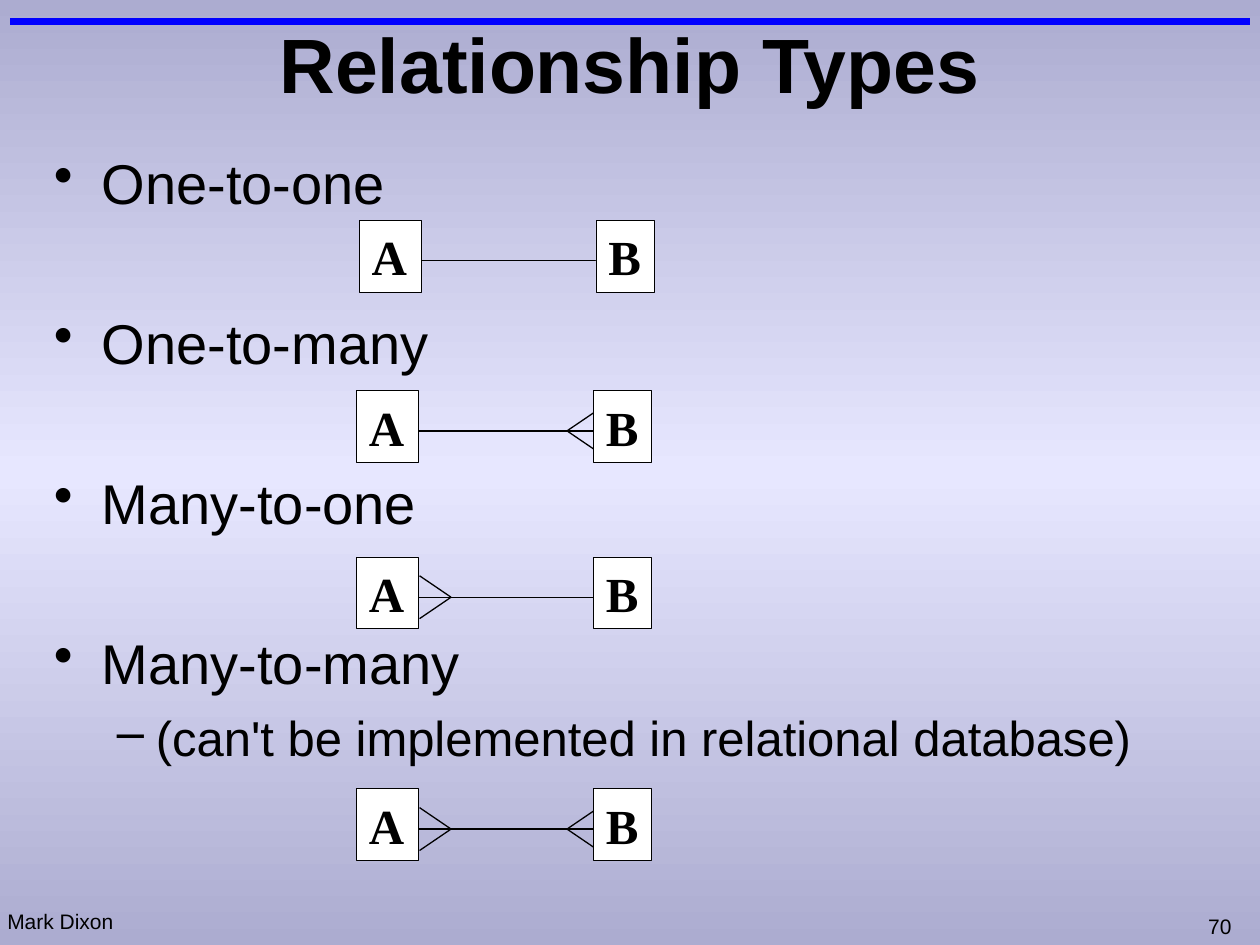
"""Build the slide on relationship types between two entities."""
from copy import deepcopy
from dataclasses import dataclass

from lxml import etree
from pptx import Presentation
from pptx.dml.color import RGBColor
from pptx.enum.shapes import MSO_CONNECTOR, MSO_SHAPE
from pptx.enum.text import MSO_ANCHOR, PP_ALIGN
from pptx.oxml.ns import qn
from pptx.util import Inches, Pt

STRAIGHT = MSO_CONNECTOR.STRAIGHT
RECTANGLE = MSO_SHAPE.RECTANGLE
LEFT, CENTER = PP_ALIGN.LEFT, PP_ALIGN.CENTER
TOP, MIDDLE = MSO_ANCHOR.TOP, MSO_ANCHOR.MIDDLE


@dataclass(frozen=True)
class Theme:
    """Colours, fonts and type sizes of the slide."""
    ink: RGBColor = RGBColor(0, 0, 0)
    paper: RGBColor = RGBColor(255, 255, 255)
    rule: RGBColor = RGBColor(0, 0, 255)
    edge: RGBColor = RGBColor(0xAC, 0xAC, 0xD0)
    glow: RGBColor = RGBColor(0xE7, 0xE7, 0xFF)
    sans: str = "Arial"
    serif: str = "Times New Roman"
    title: int = 44
    body: int = 32
    detail: int = 28
    entity: int = 28
    footer: int = 12


THEME = Theme()
BULLETS = [
    ("One-to-one", 0, 0),
    ("One-to-many", 0, 53),
    ("Many-to-one", 0, 53),
    ("Many-to-many", 0, 53),
    ("(can't be implemented in relational database)", 1, 7),
]
LEVELS = [("•", 0.38, 0.38, THEME.body), ("–", 0.81, 0.31, THEME.detail)]
DIAGRAMS = [
    (2.85, 1.75, False, False),
    (2.83, 3.1, False, True),
    (2.83, 4.42, True, False),
    (2.83, 6.26, True, True),
]


def paint_background(page):
    """Fill the page with a vertical gradient that is lightest in the middle."""
    fill = page.background.fill
    fill.gradient()
    fill.gradient_angle = 90
    stops = page.element.find(".//" + qn("a:gsLst"))
    stops.append(deepcopy(stops[0]))
    colours = (THEME.edge, THEME.glow, THEME.edge)
    for stop, colour, position in zip(fill.gradient_stops, colours, (0, 0.5, 1)):
        stop.color.rgb = colour
        stop.position = position


def style_text(para, size, font=THEME.sans, bold=False):
    """Set the type of a whole paragraph."""
    para.font.name = font
    para.font.size = Pt(size)
    para.font.bold = bold
    para.font.color.rgb = THEME.ink


def add_label(page, text, area, size, bold=False, align=LEFT, anchor=TOP, wrap=False):
    """Add a one-paragraph text box."""
    frame = page.shapes.add_textbox(*map(Inches, area)).text_frame
    frame.word_wrap = wrap
    frame.vertical_anchor = anchor
    para = frame.paragraphs[0]
    para.text = text
    para.alignment = align
    style_text(para, size, bold=bold)


def add_line(page, start, end, colour=THEME.ink, width=0.75):
    """Add a straight line without a shadow."""
    line = page.shapes.add_connector(STRAIGHT, *map(Inches, (*start, *end)))
    line.line.color.rgb = colour
    line.line.width = Pt(width)
    etree.SubElement(line.element.spPr, qn("a:effectLst"))


def add_bullets(page):
    """Add the bulleted list of relationship types."""
    area = map(Inches, (0.33, 1.13, 9.33, 6.03))
    frame = page.shapes.add_textbox(*area).text_frame
    frame.word_wrap = True
    for index, (text, level, gap) in enumerate(BULLETS):
        para = frame.add_paragraph() if index else frame.paragraphs[0]
        mark, margin, hanging, size = LEVELS[level]
        para.text = text
        para.level = level
        para.space_before = Pt(gap)
        properties = para._p.get_or_add_pPr()
        properties.set("marL", str(Inches(margin)))
        properties.set("indent", str(-Inches(hanging)))
        etree.SubElement(properties, qn("a:buChar"), char=mark)
        style_text(para, size)


def add_entity(page, name, left, top, width):
    """Add a white box that names an entity."""
    box = page.shapes.add_shape(RECTANGLE, *map(Inches, (left, top, width, 0.57)))
    box.shadow.inherit = False
    box.fill.solid()
    box.fill.fore_color.rgb = THEME.paper
    box.line.color.rgb = THEME.ink
    box.line.width = Pt(0.25)
    box.text_frame.word_wrap = False
    para = box.text_frame.paragraphs[0]
    para.text = name
    para.alignment = LEFT
    style_text(para, THEME.entity, THEME.serif, bold=True)


def add_crow_foot(page, tip, base, middle):
    """Add the two spread toes that mark a many end."""
    for offset in (-0.17, 0.17):
        add_line(page, (tip, middle), (base, middle + offset))


def add_relationship(page, left, top, many_a, many_b):
    """Add entities A and B and the line between them."""
    middle = top + 0.32
    add_line(page, (left + 0.49, middle), (left + 1.9, middle))
    if many_a:
        add_crow_foot(page, 3.58, 3.33, middle)
    if many_b:
        add_crow_foot(page, 4.5, 4.75, middle)
    add_entity(page, "A", left, top, 0.49)
    add_entity(page, "B", left + 1.88, top, 0.46)


def main():
    """Build and save the deck."""
    deck = Presentation()
    deck.slide_width, deck.slide_height = Inches(10), Inches(7.5)
    page = deck.slides.add_slide(deck.slide_layouts[6])
    paint_background(page)
    add_line(page, (0.08, 0.17), (9.92, 0.17), THEME.rule, 4)
    add_label(page, "70", (9.49, 7.2, 0.4, 0.3), THEME.footer)
    add_label(page, "Mark Dixon", (-0.04, 7.16, 1.04, 0.3), THEME.footer)
    add_label(page, "Relationship Types", (0, 0, 10, 1), THEME.title,
              bold=True, align=CENTER, anchor=MIDDLE, wrap=True)
    add_bullets(page)
    for diagram in DIAGRAMS:
        add_relationship(page, *diagram)
    deck.save("out.pptx")


if __name__ == "__main__":
    main()
